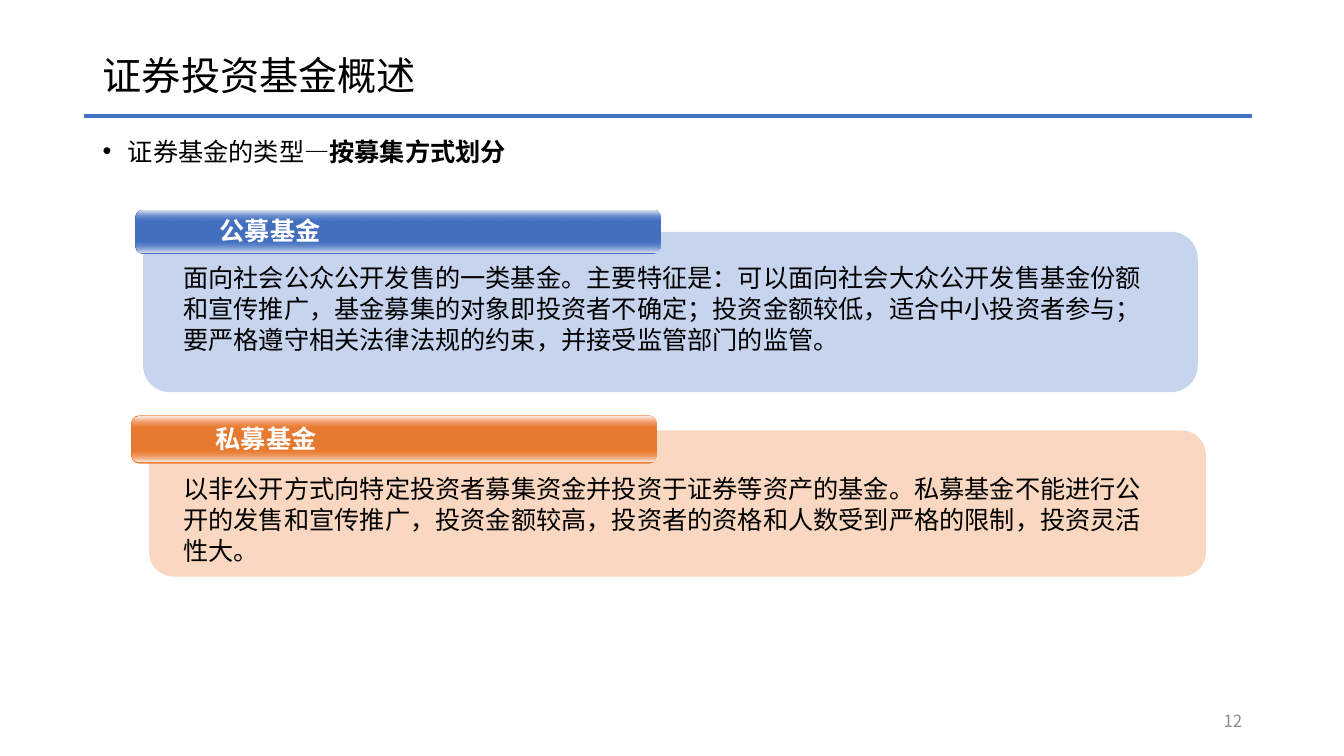
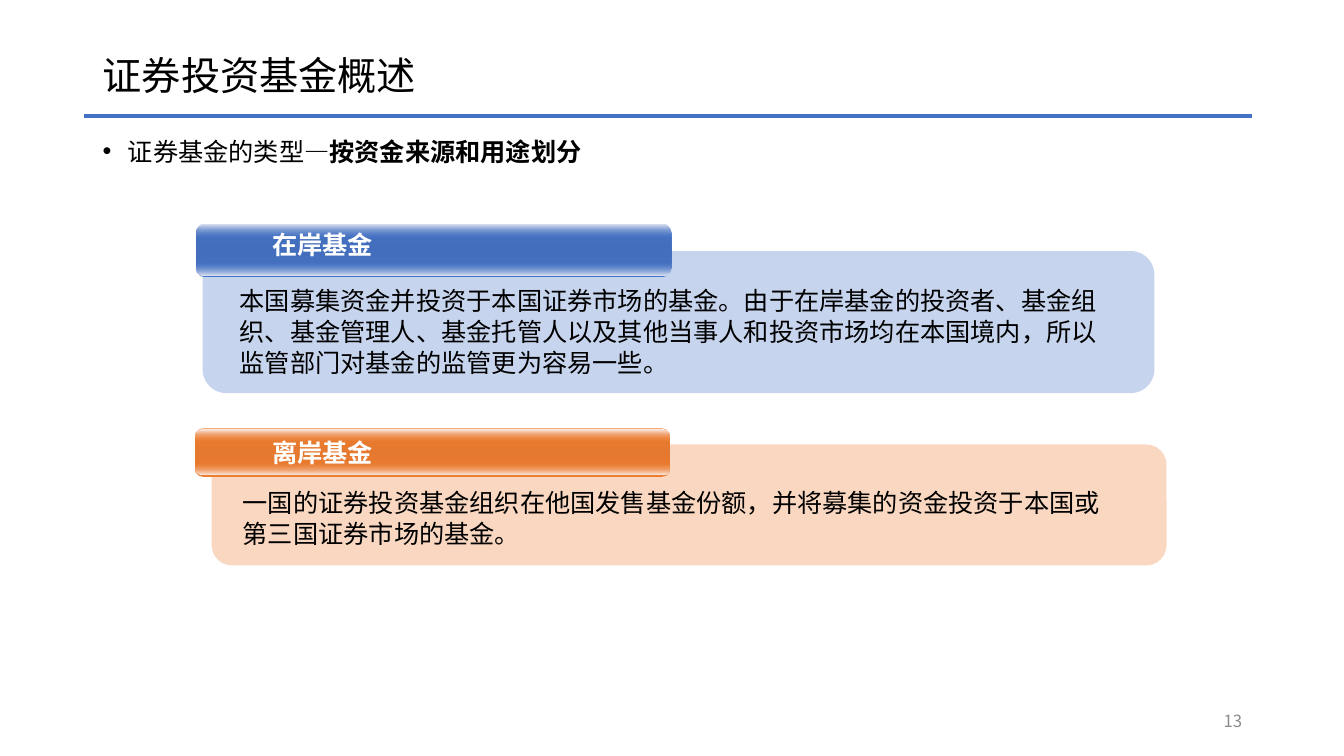
from lxml import etree
from pptx import Presentation
from pptx.dml.color import RGBColor
from pptx.enum.shapes import MSO_CONNECTOR, MSO_SHAPE
from pptx.enum.text import MSO_ANCHOR, MSO_AUTO_SIZE, PP_ALIGN
from pptx.oxml.ns import qn
from pptx.util import Inches, Pt

ROUNDED = MSO_SHAPE.ROUNDED_RECTANGLE
STRAIGHT = MSO_CONNECTOR.STRAIGHT
MIDDLE, TOP = MSO_ANCHOR.MIDDLE, MSO_ANCHOR.TOP
LEFT, RIGHT = PP_ALIGN.LEFT, PP_ALIGN.RIGHT
FIXED = MSO_AUTO_SIZE.NONE

FONT = "Noto Sans CJK SC"
BLACK = RGBColor(0x00, 0x00, 0x00)
WHITE = RGBColor(0xFF, 0xFF, 0xFF)
GRAY = RGBColor(0x8C, 0x8C, 0x8C)
BLUE = RGBColor(0x44, 0x72, 0xC4)
ORANGE = RGBColor(0xED, 0x7D, 0x31)
BLUE_THEME = (BLUE, RGBColor(0x42, 0x6E, 0xBD), RGBColor(0xE6, 0xE9, 0xF3), RGBColor(0xE9, 0xEB, 0xF5))
ORANGE_THEME = (ORANGE, RGBColor(0xE5, 0x79, 0x2F), RGBColor(0xFC, 0xF0, 0xED), RGBColor(0xFC, 0xED, 0xE9))

TITLE = "证券投资基金概述"
TOPIC = "证券基金的类型—"
PAGES = [
    {
        "number": "12",
        "division": "按募集方式划分",
        "cards": [
            {
                "theme": BLUE_THEME,
                "panel": (1.42, 2.3, 10.46, 1.59),
                "tab": (1.34, 2.08, 5.22, 0.44),
                "label_at": (2.08, 2.08),
                "label": "公募基金",
                "body_at": (1.72, 2.55, 9.9, 1.31),
                "body": "面向社会公众公开发售的一类基金。主要特征是：可以面向社会大众公开发售基金份额和宣传推广，基金募集的对象即投资者不确定；投资金额较低，适合中小投资者参与；要严格遵守相关法律法规的约束，并接受监管部门的监管。",
            },
            {
                "theme": ORANGE_THEME,
                "panel": (1.48, 4.27, 10.48, 1.45),
                "tab": (1.3, 4.12, 5.22, 0.48),
                "label_at": (2.04, 4.15),
                "label": "私募基金",
                "body_at": (1.72, 4.64, 9.71, 1.01),
                "body": "以非公开方式向特定投资者募集资金并投资于证券等资产的基金。私募基金不能进行公开的发售和宣传推广，投资金额较高，投资者的资格和人数受到严格的限制，投资灵活性大。",
            },
        ],
    },
    {
        "number": "13",
        "division": "按资金来源和用途划分",
        "cards": [
            {
                "theme": BLUE_THEME,
                "panel": (2.01, 2.49, 9.44, 1.41),
                "tab": (1.94, 2.22, 4.72, 0.53),
                "label_at": (2.6, 2.22),
                "label": "在岸基金",
                "body_at": (2.28, 2.78, 8.94, 1.1),
                "body": "本国募集资金并投资于本国证券市场的基金。由于在岸基金的投资者、基金组织、基金管理人、基金托管人以及其他当事人和投资市场均在本国境内，所以监管部门对基金的监管更为容易一些。",
            },
            {
                "theme": ORANGE_THEME,
                "panel": (2.1, 4.41, 9.47, 1.2),
                "tab": (1.93, 4.25, 4.72, 0.48),
                "label_at": (2.6, 4.28),
                "label": "离岸基金",
                "body_at": (2.31, 4.78, 8.77, 0.71),
                "body": "一国的证券投资基金组织在他国发售基金份额，并将募集的资金投资于本国或第三国证券市场的基金。",
            },
        ],
    },
]


def write_text(box, text, size=18, color=BLACK, bold=False, align=LEFT, anchor=TOP, spacing=Pt(22)):
    frame = box.text_frame
    frame.word_wrap = True
    frame.auto_size = FIXED
    frame.vertical_anchor = anchor
    para = frame.paragraphs[0]
    para.alignment = align
    para.line_spacing = spacing
    span = para.add_run()
    span.text = text
    span.font.size = Pt(size)
    span.font.bold = bold
    span.font.color.rgb = color
    span.font.name = FONT
    latin = span.font._element.find(qn("a:latin"))
    latin.addnext(latin.makeelement(qn("a:ea"), {"typeface": FONT}))


def add_rounded(group, place, corner, stops):
    shape = group.shapes.add_shape(ROUNDED, *map(Inches, place))
    shape.adjustments[0] = corner
    shape.shadow.inherit = False
    shape.line.fill.background()
    shape.fill.background()
    empty = shape._element.spPr.find(qn("a:noFill"))
    fill = empty.makeelement(qn("a:gradFill" if len(stops) > 1 else "a:solidFill"), {})
    empty.getparent().replace(empty, fill)
    if len(stops) > 1:
        stop_list = etree.SubElement(fill, qn("a:gsLst"))
        etree.SubElement(fill, qn("a:lin"), ang="5400000", scaled="0")
    for index, (color, opacity) in enumerate(stops):
        parent = fill
        if len(stops) > 1:
            position = index * 100000 // (len(stops) - 1)
            parent = etree.SubElement(stop_list, qn("a:gs"), pos=str(position))
        tone = etree.SubElement(parent, qn("a:srgbClr"), val=str(color))
        if opacity < 100:
            etree.SubElement(tone, qn("a:alpha"), val=str(opacity * 1000))


deck = Presentation()
deck.slide_width = Inches(13.33)
deck.slide_height = Inches(7.5)
title_only = deck.slide_layouts[5]

for content in PAGES:
    page = deck.slides.add_slide(title_only)
    title = page.shapes.title
    title.left, title.top, title.width, title.height = map(Inches, (0.92, 0.4, 11.5, 0.74))
    write_text(title, TITLE, size=28, anchor=MIDDLE, spacing=0.9)

    topic = page.shapes.add_textbox(Inches(0.92), Inches(1.32), Inches(11.5), Inches(0.45))
    properties = topic.text_frame.paragraphs[0]._p.get_or_add_pPr()
    properties.set("marL", str(Inches(0.25)))
    properties.set("indent", str(-Inches(0.25)))
    etree.SubElement(properties, qn("a:buFont"), typeface="Arial")
    etree.SubElement(properties, qn("a:buChar"), char="•")
    write_text(topic, TOPIC, spacing=Pt(20))
    write_text(topic, content["division"], bold=True, spacing=Pt(20))

    rule = page.shapes.add_connector(STRAIGHT, Inches(0.83), Inches(1.15), Inches(12.42), Inches(1.15))
    rule.line.color.rgb = BLUE
    rule.line.width = Pt(3)
    etree.SubElement(rule._element.spPr, qn("a:effectLst"))

    number = page.shapes.add_textbox(Inches(9.42), Inches(6.95), Inches(3), Inches(0.4))
    write_text(number, content["number"], size=12, color=GRAY, align=RIGHT, anchor=MIDDLE, spacing=1.0)

    for card in content["cards"]:
        base, core, upper_light, lower_light = card["theme"]
        left, top, width, height = card["tab"]
        gloss_left, gloss_width, gloss_height = left + 0.01, width - 0.02, height / 4
        lower_top = top + height - gloss_height - 0.02
        group = page.shapes.add_group_shape()
        add_rounded(group, card["panel"], 0.167, [(base, 30)])
        add_rounded(group, card["tab"], 0.175, [(base, 100), (core, 100), (base, 100)])
        add_rounded(group, (gloss_left, lower_top, gloss_width, gloss_height), 0.5, [(base, 0), (lower_light, 100)])
        add_rounded(group, (gloss_left, top + 0.01, gloss_width, gloss_height), 0.5, [(upper_light, 100), (base, 0)])
        label = group.shapes.add_textbox(*map(Inches, (*card["label_at"], 1.58, 0.4)))
        write_text(label, card["label"], color=WHITE, bold=True)
        body = group.shapes.add_textbox(*map(Inches, card["body_at"]))
        write_text(body, card["body"])

deck.save("out.pptx")
